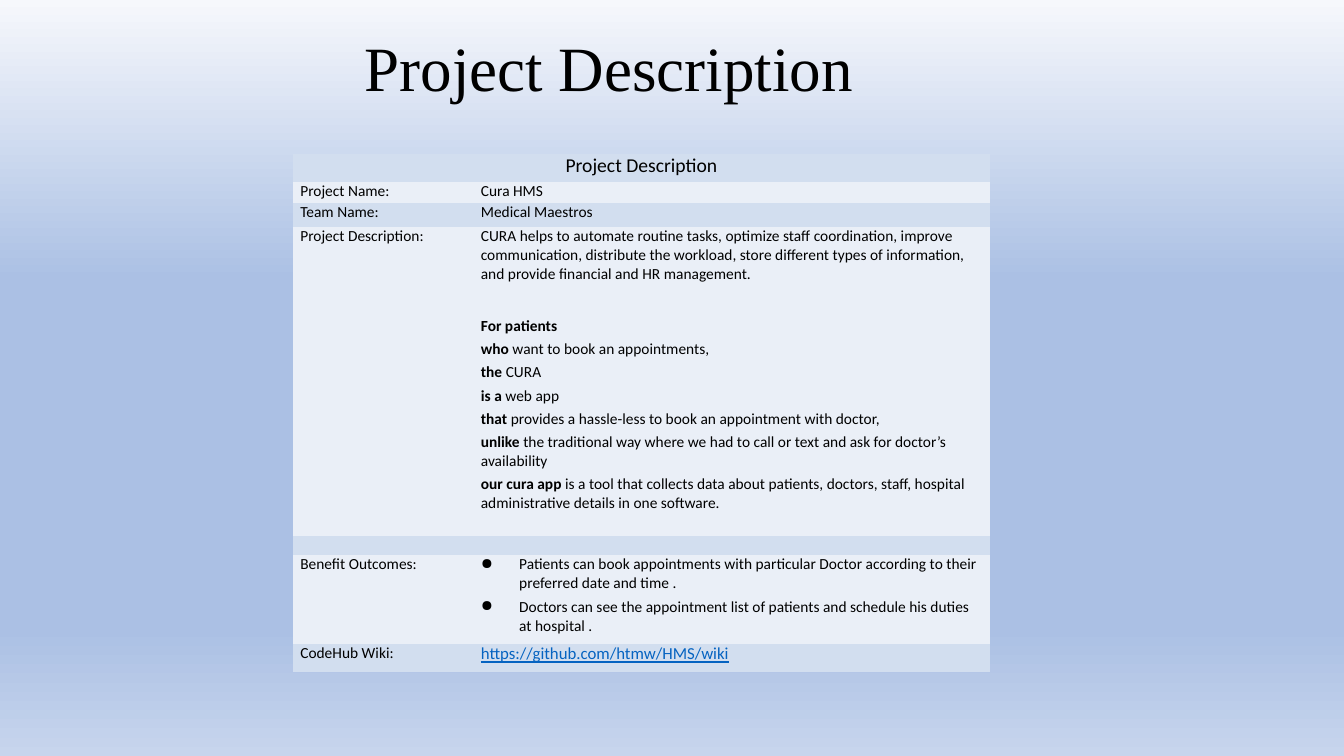
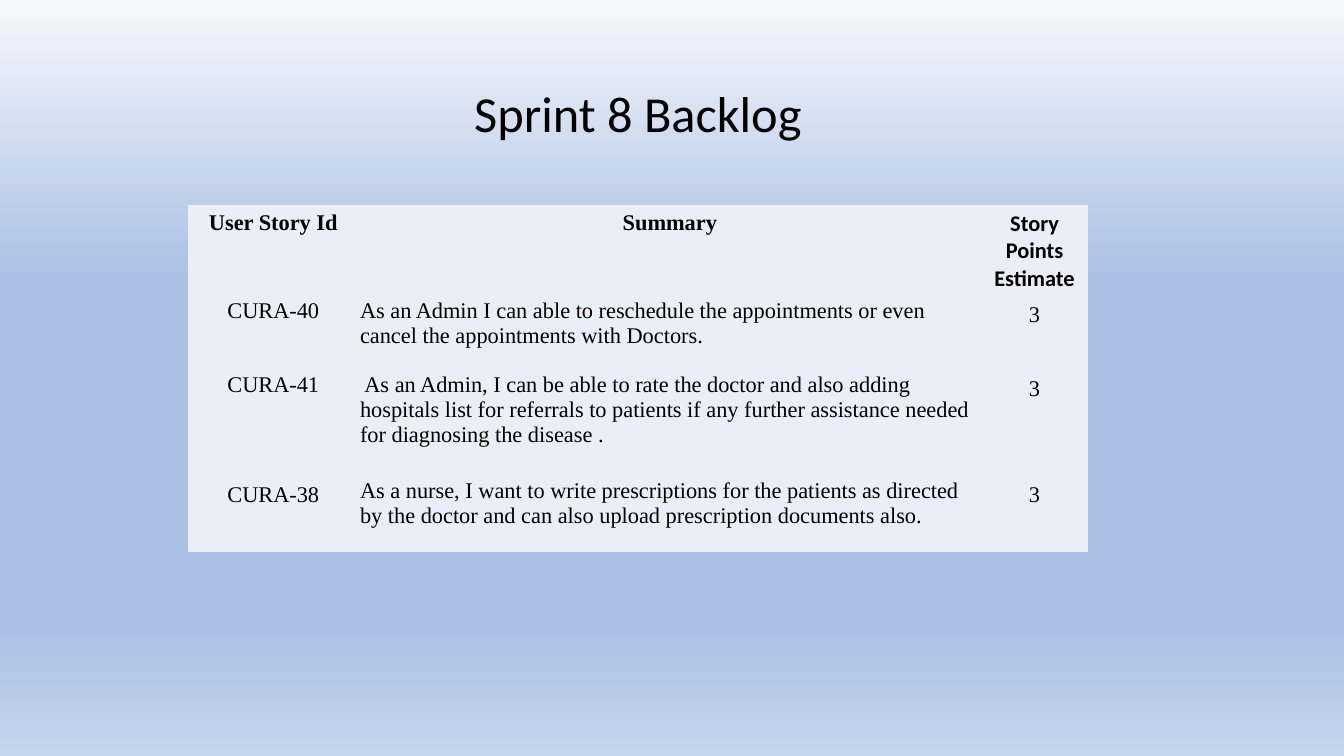
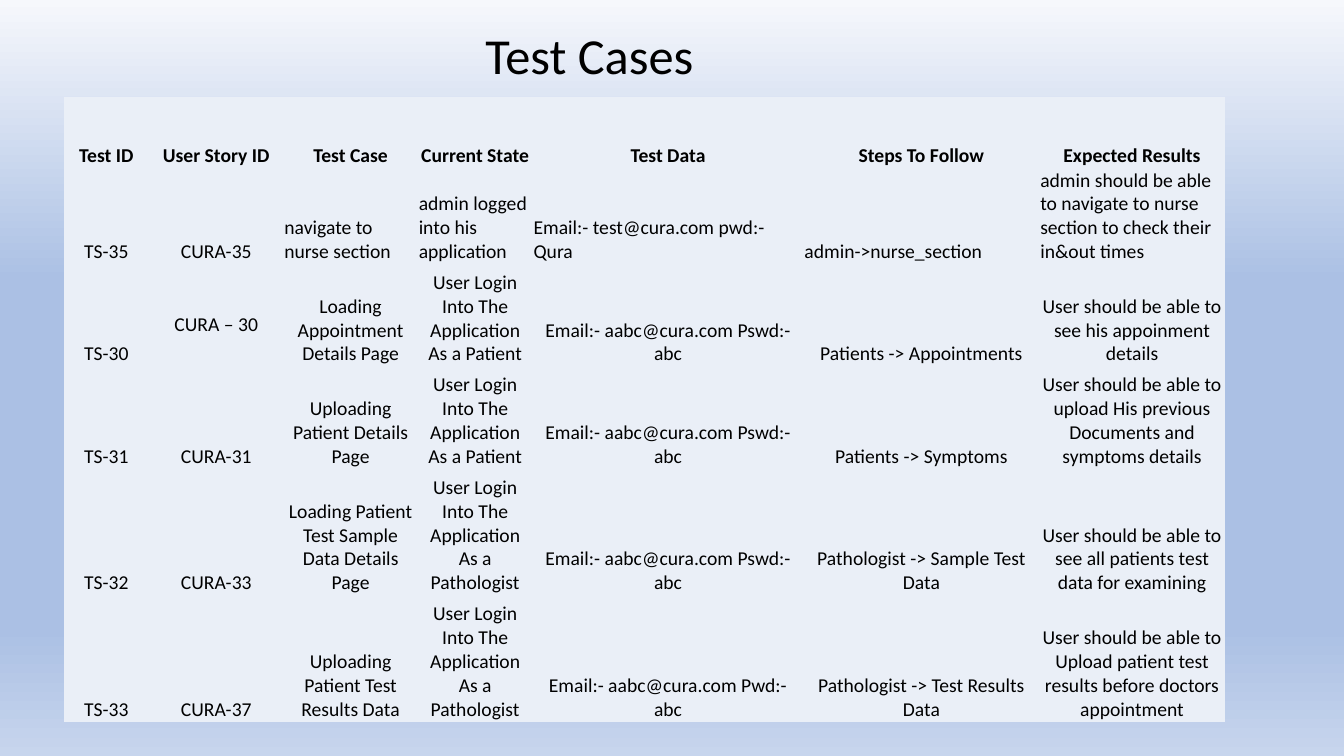
"""Builds three project slides: description, sprint backlog and test cases."""
from lxml import etree
from pptx import Presentation
from pptx.dml import color
from pptx.enum import text
from pptx.oxml import ns
from pptx.util import Pt

SERIF, SANS = "Times New Roman", "Calibri"
BLACK, LINK = "000000", "0563C1"
DARK_BAND, LIGHT_BAND = "D2DEEF", "EAEFF7"
SKY = [(0, "F6F8FC"), (37, "ABC0E4"), (83, "ABC0E4"), (100, "C7D5ED")]
NO_GRID = "{2D5ABB26-0587-4C30-8999-92F81FD0307C}"
LEFT, CENTER = text.PP_ALIGN.LEFT, text.PP_ALIGN.CENTER
TOP, BOTTOM = text.MSO_ANCHOR.TOP, text.MSO_ANCHOR.BOTTOM
ROOMY, TIGHT, SIDES = (7.2, 3.6, 7.2, 3.6), (0.7, 0.7, 0.7, 0), (5, 0, 5, 0)

SUMMARY = ("CURA helps to automate routine tasks, optimize staff coordination, improve "
           "communication, distribute the workload, store different types of information, "
           "and provide financial and HR management.")
PITCH = [
    ("For patients", ""),
    ("who", " want to book an appointments,"),
    ("the", " CURA"),
    ("is a ", "web app"),
    ("that", " provides a hassle-less to book an appointment with doctor,"),
    ("unlike", " the traditional way where we had to call or text and ask for doctor’s availability"),
    ("our cura app ", "is a tool that collects data about patients, doctors, staff, "
                      "hospital administrative details in one software."),
]
BENEFITS = [
    "Patients can book appointments with particular Doctor according to their preferred date and time .",
    "Doctors can see the appointment list of patients and schedule his duties at hospital .",
]
PROJECT = [
    ("Project Description", ""),
    ("Project Name:", "Cura HMS"),
    ("Team Name:", "Medical Maestros"),
    ("Project Description:", [SUMMARY] + PITCH),
    ("", ""),
    ("Benefit Outcomes:", BENEFITS),
    ("CodeHub Wiki:", "https://github.com/htmw/HMS/wiki"),
]
PROJECT_HEIGHTS = [20, 15, 17, 221, 13.5, 63.5, 20]

BACKLOG = [
    ("User Story Id", "Summary", ["Story Points", "Estimate"]),
    ("CURA-40", "As an Admin I can able to reschedule the appointments or even cancel "
                "the appointments with Doctors.", "3"),
    ("CURA-41", " As an Admin, I can be able to rate the doctor and also adding hospitals list "
                "for referrals to patients if any further assistance needed for diagnosing "
                "the disease .", "3"),
    ("CURA-38", "As a nurse, I want to write prescriptions for the patients as directed by "
                "the doctor and can also upload prescription documents also.", "3"),
]
BACKLOG_HEIGHTS = [66, 53, 75.5, 53.5]

AS_PATIENT = "User Login Into The Application As a Patient"
AS_PATHOLOGIST = "User Login Into The Application As a Pathologist"
LOGIN = "Email:- aabc@cura.com Pswd:- abc"
TESTS = [
    ("Test ID", "User Story ID", "Test Case", "Current State", "Test Data",
     "Steps To Follow", "Expected Results"),
    ("TS-35", "CURA-35", "navigate to nurse section", "admin logged into his application",
     "Email:- test@cura.com pwd:- Qura", "admin->nurse_section",
     "admin should be able to navigate to nurse section to check their in&out times"),
    ("TS-30", "CURA – 30", "Loading Appointment Details Page", AS_PATIENT, LOGIN,
     "Patients -> Appointments", "User should be able to see his appoinment details"),
    ("TS-31", "CURA-31", "Uploading Patient Details Page", AS_PATIENT, LOGIN,
     "Patients -> Symptoms",
     "User should be able to upload His previous Documents and symptoms details"),
    ("TS-32", "CURA-33", "Loading Patient Test Sample Data Details Page", AS_PATHOLOGIST, LOGIN,
     "Pathologist -> Sample Test Data",
     "User should be able to see all patients test data for examining"),
    ("TS-33", "CURA-37", "Uploading Patient Test Results Data", AS_PATHOLOGIST,
     ["Email:- aabc@cura.com Pwd:-", "abc"], "Pathologist -> Test Results Data",
     "User should be able to Upload patient test results before doctors appointment"),
]
TEST_HEIGHTS = [50.5, 69, 73, 73, 90.5, 90.5]


def rgb(value):
    """Turn a hex string into a colour."""
    return color.RGBColor.from_string(value)


def paint_background(master):
    """Give every slide the same vertical gradient."""
    fill = master.background.fill
    fill.gradient()
    fill.gradient_angle = 270
    stops = next(master.element.iter(ns.qn("a:gsLst")))
    for old in list(stops):
        stops.remove(old)
    for percent, shade in SKY:
        stop = etree.SubElement(stops, ns.qn("a:gs"), pos=str(percent * 1000))
        etree.SubElement(stop, ns.qn("a:srgbClr"), val=shade)


def style(font, size, name, shade=BLACK, bold=False):
    """Set the look of a font."""
    font.size, font.name, font.bold = Pt(size), name, bold
    font.color.rgb = rgb(shade)


def add_titled_slide(deck, title, box, size, name):
    """Add a blank slide with a centred title."""
    slide = deck.slides.add_slide(deck.slide_layouts[6])
    frame = slide.shapes.add_textbox(*map(Pt, box)).text_frame
    frame.word_wrap = True
    frame.vertical_anchor = text.MSO_ANCHOR.MIDDLE
    heading = frame.paragraphs[0]
    heading.text, heading.alignment, heading.line_spacing = title, CENTER, 0.9
    style(heading.font, size, name)
    return slide


def add_grid(slide, left, top, widths, heights):
    """Add an unstyled table with the given columns and rows."""
    table = slide.shapes.add_table(len(heights), len(widths), Pt(left), Pt(top),
                                   Pt(sum(widths)), Pt(sum(heights))).table
    next(table._tbl.iter(ns.qn("a:tableStyleId"))).text = NO_GRID
    table.first_row = table.horz_banding = False
    for column, width in zip(table.columns, widths):
        column.width = Pt(width)
    for row, height in zip(table.rows, heights):
        row.height = Pt(height)
    return table


def write(cell, content, size, name, align=LEFT, bold=False, shade=BLACK,
          band=LIGHT_BAND, margins=ROOMY, anchor=TOP):
    """Fill a cell with one text or a list; a pair has a bold lead and a plain rest."""
    cell.fill.solid()
    cell.fill.fore_color.rgb = rgb(band)
    cell.vertical_anchor = anchor
    cell.margin_left, cell.margin_top, cell.margin_right, cell.margin_bottom = map(Pt, margins)
    frame = cell.text_frame
    for index, entry in enumerate(content if isinstance(content, list) else [content]):
        paragraph = frame.add_paragraph() if index else frame.paragraphs[0]
        paragraph.alignment = align
        style(paragraph.font, size, name, shade, bold)
        if isinstance(entry, tuple):
            for part, strong in zip(entry, (True, False)):
                if part:
                    run = paragraph.add_run()
                    run.text, run.font.bold = part, strong
        elif entry:
            paragraph.text = entry
        else:
            etree.SubElement(paragraph._p, ns.qn("a:endParaRPr"), sz=str(size * 100))


def add_bullet(paragraph):
    """Give a paragraph a round bullet with a hanging indent."""
    properties = paragraph._p.get_or_add_pPr()
    properties.set("marL", str(Pt(27.4)))
    properties.set("indent", str(-Pt(27.4)))
    bullet = etree.Element(ns.qn("a:buChar"), char="●")
    properties.find(ns.qn("a:defRPr")).addprevious(bullet)


def build_project(deck):
    """Build the project description slide."""
    slide = add_titled_slide(deck, "Project Description", (42, 15, 786, 72), 45, SERIF)
    table = add_grid(slide, 209.5, 110, [129, 368.5], PROJECT_HEIGHTS)
    for r, row in enumerate(PROJECT):
        band = LIGHT_BAND if r % 2 else DARK_BAND
        for c, content in enumerate(row):
            is_link = str(content).startswith("https")
            size = 14 if r == 0 else 12 if is_link else 11
            cell = table.cell(r, c)
            write(cell, content, size, SANS, CENTER if r == 0 else LEFT,
                  shade=LINK if is_link else BLACK, band=band, margins=SIDES)
            paragraphs = cell.text_frame.paragraphs
            if is_link:
                paragraphs[0].font.underline = True
            for index, paragraph in enumerate(paragraphs):
                paragraph.space_after = Pt(2)
                if index:
                    paragraph.space_before = Pt(1)
                if content is BENEFITS:
                    add_bullet(paragraph)
            if content and content[0] is SUMMARY:
                paragraphs[1].space_before = Pt(21.5)
        if not row[1]:
            table.cell(r, 0).merge(table.cell(r, 1))


def build_backlog(deck):
    """Build the sprint backlog slide."""
    slide = add_titled_slide(deck, "Sprint 8 Backlog", (64, 49, 783.5, 68.5), 36, SANS)
    table = add_grid(slide, 134, 146.5, [122.5, 444, 77], BACKLOG_HEIGHTS)
    for r, row in enumerate(BACKLOG):
        for c, content in enumerate(row):
            header = r == 0
            roomy = header or c == 2 or content == "CURA-38"
            write(table.cell(r, c), content, 16, SANS if header and c == 2 else SERIF,
                  LEFT if c == 1 and not header else CENTER, bold=header,
                  margins=ROOMY if roomy else TIGHT)


def build_tests(deck):
    """Build the test cases slide."""
    slide = add_titled_slide(deck, "Test Cases", (21.5, 7, 799, 69), 36, SANS)
    table = add_grid(slide, 45.5, 69, [61, 96, 96, 82, 193.5, 168.5, 132.5], TEST_HEIGHTS)
    for r, row in enumerate(TESTS):
        for c, content in enumerate(row):
            raised = content == "CURA – 30"
            write(table.cell(r, c), content, 14, SANS, LEFT if r == 1 and c > 1 else CENTER,
                  bold=r == 0, margins=(0.7, 35, 0.7, 0) if raised else TIGHT,
                  anchor=TOP if raised else BOTTOM)


def main():
    """Build and save the presentation."""
    deck = Presentation()
    deck.slide_width, deck.slide_height = Pt(960), Pt(540)
    paint_background(deck.slide_master)
    for build in (build_project, build_backlog, build_tests):
        build(deck)
    deck.save("out.pptx")


if __name__ == "__main__":
    main()
